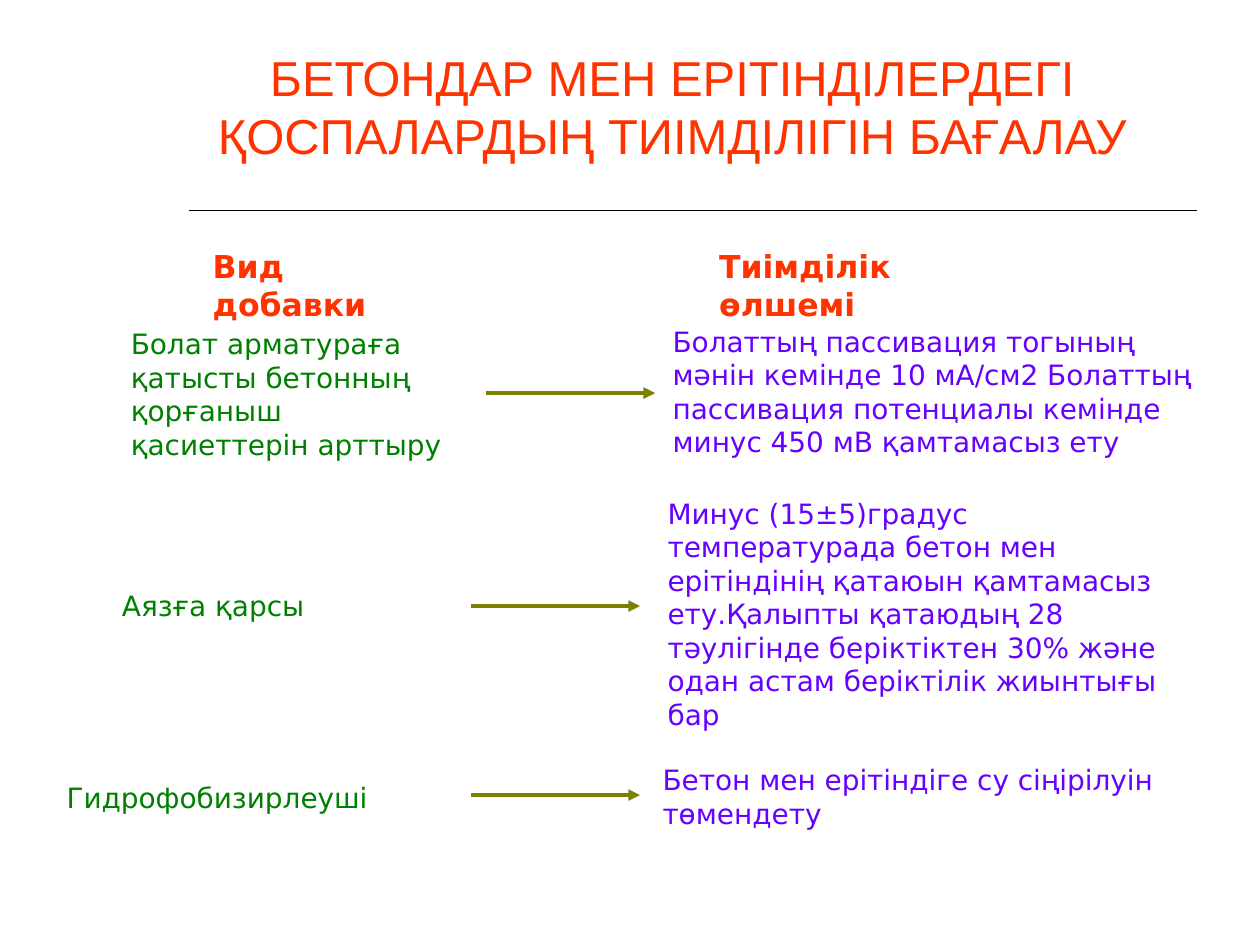
from dataclasses import dataclass

from lxml import etree
from pptx import Presentation
from pptx.dml.color import RGBColor
from pptx.enum.shapes import MSO_CONNECTOR
from pptx.enum.text import MSO_ANCHOR, MSO_AUTO_SIZE, PP_ALIGN
from pptx.oxml.ns import qn
from pptx.util import Inches, Pt

STRAIGHT = MSO_CONNECTOR.STRAIGHT
MIDDLE = MSO_ANCHOR.MIDDLE
NO_AUTOFIT = MSO_AUTO_SIZE.NONE
LEFT, CENTER = PP_ALIGN.LEFT, PP_ALIGN.CENTER
TITLE_ONLY = 5
COLUMNS, ROWS = 100, 75


@dataclass(frozen=True)
class Theme:
    heading: str = "FF3300"
    additive: str = "008000"
    criterion: str = "6600FF"
    arrow: str = "808000"
    rule: str = "000000"
    title_font: str = "Arial"
    body_font: str = "DejaVu Sans"
    title_size: float = 28
    heading_size: float = 18
    body_size: float = 16
    rule_width: float = 1
    arrow_width: float = 2.25


class SlideBuilder:
    """Places styled elements on a grid of COLUMNS by ROWS."""

    def __init__(self, deck, theme):
        self.theme = theme
        self.slide = deck.slides.add_slide(deck.slide_layouts[TITLE_ONLY])
        self.column = deck.slide_width / COLUMNS
        self.row = deck.slide_height / ROWS

    def to_emu(self, x, y):
        return round(x * self.column), round(y * self.row)

    def set_text(self, shape, box, text, font, size, color, bold=False, align=LEFT):
        shape.left, shape.top = self.to_emu(*box[:2])
        shape.width, shape.height = self.to_emu(*box[2:])
        frame = shape.text_frame
        frame.text = text
        frame.word_wrap = True
        frame.auto_size = NO_AUTOFIT
        frame.vertical_anchor = MIDDLE
        paragraph = frame.paragraphs[0]
        paragraph.alignment = align
        style = paragraph.runs[0].font
        style.name, style.size, style.bold = font, Pt(size), bold
        style.color.rgb = RGBColor.from_string(color)

    def title(self, box, text):
        theme = self.theme
        self.set_text(self.slide.shapes.title, box, text, theme.title_font,
                      theme.title_size, theme.heading, align=CENTER)

    def text(self, box, text, size, color, bold=False):
        shape = self.slide.shapes.add_textbox(0, 0, 0, 0)
        self.set_text(shape, box, text, self.theme.body_font, size, color, bold)

    def heading(self, box, text):
        self.text(box, text, self.theme.heading_size, self.theme.heading, True)

    def line(self, x, y, length, color, width):
        connector = self.slide.shapes.add_connector(
            STRAIGHT, *self.to_emu(x, y), *self.to_emu(x + length, y))
        connector.line.color.rgb = RGBColor.from_string(color)
        connector.line.width = Pt(width)
        etree.SubElement(connector._element.spPr, qn("a:effectLst"))
        return connector

    def rule(self, x, y, length):
        self.line(x, y, length, self.theme.rule, self.theme.rule_width)

    def arrow(self, x, y, length):
        connector = self.line(x, y, length, self.theme.arrow, self.theme.arrow_width)
        outline = connector._element.spPr.find(qn("a:ln"))
        etree.SubElement(outline, qn("a:tailEnd"), type="triangle")


# Each row: additive box and text, arrow start, criterion box and text
ASSESSMENTS = [
    ((9.4, 25.4, 28.4, 11.7),
     "Болат арматураға қатысты бетонның қорғаныш қасиеттерін арттыру",
     (38.6, 31.2),
     (52.4, 25.2, 43.7, 11.7),
     "Болаттың пассивация тогының мәнін кемінде 10 мА/см2 Болаттың "
     "пассивация потенциалы кемінде минус 450 мВ қамтамасыз ету"),
    ((8.7, 46.2, 27.6, 3.7),
     "Аязға қарсы",
     (37.4, 48.1),
     (52, 41.5, 43.7, 14.4),
     "Минус (15±5)градус температурада бетон мен ерітіндінің қатаюын "
     "қамтамасыз ету.Қалыпты қатаюдың 28 тәулігінде беріктіктен 30% және "
     "одан астам беріктілік жиынтығы бар"),
    ((4.3, 61.4, 32.3, 3.7),
     "Гидрофобизирлеуші",
     (37.4, 63.1),
     (51.6, 60, 46.9, 6.4),
     "Бетон мен ерітіндіге су сіңірілуін төмендету"),
]
ARROW_LENGTH = 13.4


def main():
    deck = Presentation()
    deck.slide_width, deck.slide_height = Inches(10), Inches(7.5)
    theme = Theme()
    builder = SlideBuilder(deck, theme)

    # Title and the rule below it
    builder.title((13.8, 3.2, 79.1, 10.4),
                  "БЕТОНДАР МЕН ЕРІТІНДІЛЕРДЕГІ ҚОСПАЛАРДЫҢ ТИІМДІЛІГІН БАҒАЛАУ")
    builder.rule(15, 16.7, 80)

    # Column headings
    builder.heading((15.9, 20.6, 19, 4), "Вид добавки")
    builder.heading((56.1, 20.6, 25, 4), "Тиімділік өлшемі")

    # Additives, each pointing to its effectiveness criterion
    for additive_box, additive, arrow_start, criterion_box, criterion in ASSESSMENTS:
        builder.text(additive_box, additive, theme.body_size, theme.additive)
        builder.arrow(*arrow_start, ARROW_LENGTH)
        builder.text(criterion_box, criterion, theme.body_size, theme.criterion)

    deck.save("out.pptx")


if __name__ == "__main__":
    main()
